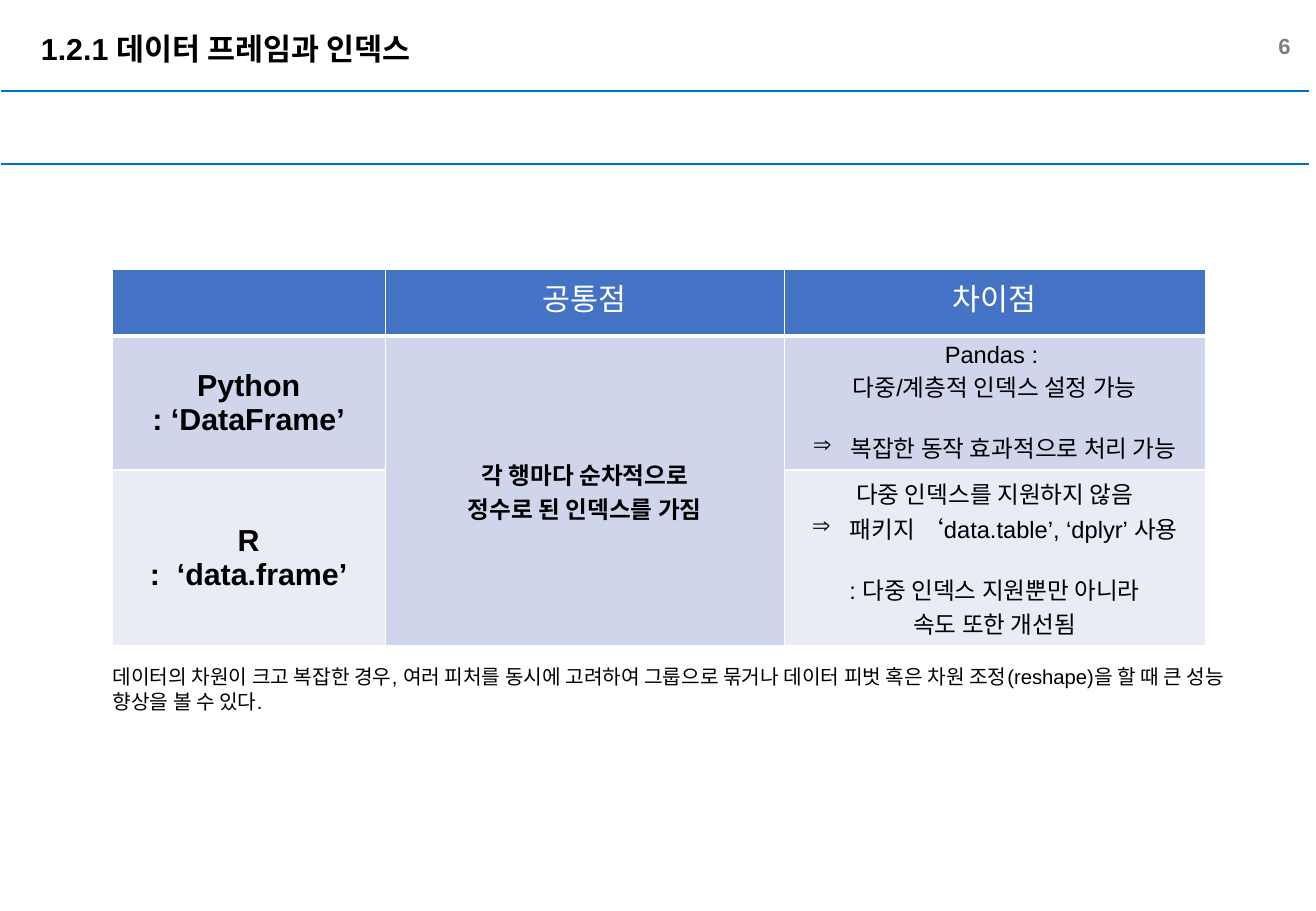
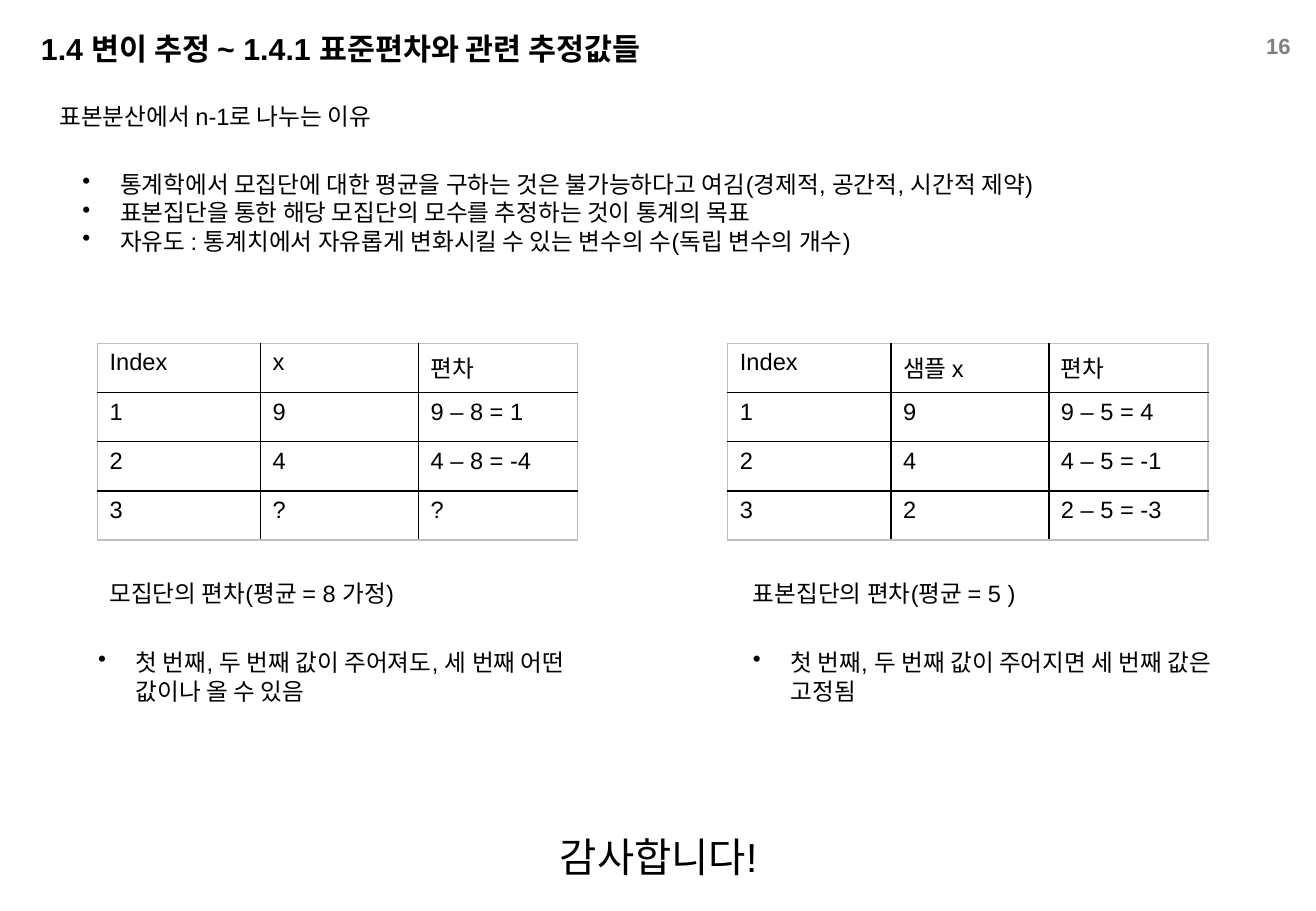
import lxml.etree
import pptx
import pptx.dml.color
import pptx.enum.shapes
import pptx.enum.text
import pptx.oxml
import pptx.oxml.ns
import pptx.util

COLORS = {"ink": "000000", "white": "FFFFFF", "number": "7F7F7F", "rule": "0070C0",
          "header": "4472C4", "band": "CFD5EA", "pale": "E9EBF5", "frame": "BFBFBF"}
FONT = "Arial"
ALIGN = pptx.enum.text.PP_ALIGN
MIDDLE = pptx.enum.text.MSO_ANCHOR.MIDDLE
TOP = pptx.enum.text.MSO_ANCHOR.TOP

deck = pptx.Presentation()
deck.slide_width = pptx.util.Inches(10.83)
deck.slide_height = pptx.util.Inches(7.5)
column = deck.slide_width / 100
row = deck.slide_height / 100


def write(frame, lines, size, bold=False, color="ink", align=ALIGN.LEFT, gap_at=None):
    for index, line in enumerate(lines):
        para = frame.paragraphs[0] if index == 0 else frame.add_paragraph()
        bulleted = line[:2] in ("• ", "⇒ ")
        para.text = line[2:] if bulleted else line
        para.alignment = align
        para.font.name = FONT
        para.font.size = pptx.util.Pt(size)
        para.font.bold = bold
        para.font.color.rgb = pptx.dml.color.RGBColor.from_string(COLORS[color])
        if index == gap_at:
            para.space_before = pptx.util.Pt(16)
        if bulleted:
            props = para._p.get_or_add_pPr()
            props.set("marL", str(pptx.util.Inches(0.31)))
            props.set("indent", str(-pptx.util.Inches(0.31)))
            bullet = pptx.oxml.parse_xml(
                f'<a:buChar {pptx.oxml.ns.nsdecls("a")} char="{line[0]}"/>')
            props.insert_element_before(bullet, "a:tabLst", "a:defRPr", "a:extLst")


def paint(cell, borders, fill=None):
    props = cell._tc.get_or_add_tcPr()
    for side, (color, points) in zip("LRTB", borders):
        props.append(pptx.oxml.parse_xml(
            f'<a:ln{side} {pptx.oxml.ns.nsdecls("a")} w="{pptx.util.Pt(points)}">'
            f'<a:solidFill><a:srgbClr val="{COLORS[color]}"/></a:solidFill></a:ln{side}>'))
    if fill:
        cell.fill.solid()
        cell.fill.fore_color.rgb = pptx.dml.color.RGBColor.from_string(COLORS[fill])
    else:
        cell.fill.background()


pages = [deck.slides.add_slide(deck.slide_layouts[6]) for _ in range(2)]
frame_page, variance_page = pages

title = {"size": 18, "bold": True}
number = {"size": 13, "bold": True, "color": "number", "align": ALIGN.RIGHT}
body = {"size": 14}
texts = [
    (frame_page, (2.2, 2.7, 41.6, 5.3), ["1.2.1 데이터 프레임과 인덱스"], title),
    (frame_page, (93.4, 2.9, 5.4, 4.3), ["6"], number),
    (frame_page, (7.66, 72.3, 89.6, 6.7),
     ["데이터의 차원이 크고 복잡한 경우, 여러 피처를 동시에 고려하여 그룹으로 묶거나 "
      "데이터 피벗 혹은 차원 조정(reshape)을 할 때 큰 성능 향상을 볼 수 있다."], {"size": 12}),
    (variance_page, (2.2, 2.7, 53, 5.3), ["1.4 변이 추정 ~ 1.4.1 표준편차와 관련 추정값들"], title),
    (variance_page, (93.4, 2.9, 5.4, 4.3), ["16"], number),
    (variance_page, (3.6, 10.5, 43.4, 4.5), ["표본분산에서 n-1로 나누는 이유"], body),
    (variance_page, (5.35, 18, 87.3, 17),
     ["• 통계학에서 모집단에 대한 평균을 구하는 것은 불가능하다고 여김(경제적, 공간적, 시간적 제약)",
      "• 표본집단을 통한 해당 모집단의 모수를 추정하는 것이 통계의 목표",
      "• 자유도 : 통계치에서 자유롭게 변화시킬 수 있는 변수의 수(독립 변수의 개수)"], body),
    (variance_page, (7.4, 62.9, 28.6, 4.5), ["모집단의 편차(평균 = 8 가정)"], body),
    (variance_page, (56.3, 62.9, 28.6, 4.5), ["표본집단의 편차(평균 = 5 )"], body),
    (variance_page, (6.55, 70.5, 41.2, 7.6),
     ["• 첫 번째, 두 번째 값이 주어져도, 세 번째 어떤 값이나 올 수 있음"], body),
    (variance_page, (56.3, 70.5, 41.2, 7.6),
     ["• 첫 번째, 두 번째 값이 주어지면 세 번째 값은 고정됨"], body),
    (variance_page, (22.8, 90.7, 54.5, 9), ["감사합니다!"], {"size": 24, "align": ALIGN.CENTER}),
]
for page, (left, top, width, height), lines, style in texts:
    box = page.shapes.add_textbox(int(left * column), int(top * row),
                                  int(width * column), int(height * row))
    box.text_frame.word_wrap = True
    if style is number:
        box.text_frame.vertical_anchor = MIDDLE
        box.text_frame.margin_left = box.text_frame.margin_right = pptx.util.Inches(0.08)
        box.text_frame.margin_top = box.text_frame.margin_bottom = pptx.util.Inches(0.04)
    write(box.text_frame, lines, **style)

for height in (10, 18):
    rule = frame_page.shapes.add_connector(
        pptx.enum.shapes.MSO_CONNECTOR.STRAIGHT,
        int(99.5 * column), int(height * row), int(0.1 * column), int(height * row))
    rule.line.color.rgb = pptx.dml.color.RGBColor.from_string(COLORS["rule"])
    rule.line.width = pptx.util.Pt(0.75)
    lxml.etree.SubElement(rule._element.spPr, pptx.oxml.ns.qn("a:effectLst"))

widths = (20.8, 30.3, 32)
heights = (7.3, 14.7, 19.3)
comparison = frame_page.shapes.add_table(
    3, 3, int(8.5 * column), int(29.6 * row),
    int(sum(widths) * column), int(sum(heights) * row)).table
for index in range(3):
    comparison.columns[index].width = int(widths[index] * column)
    comparison.rows[index].height = int(heights[index] * row)
    for place in range(3):
        lower = 3 if index == 0 else 1
        upper = 3 if index == 1 else 1
        paint(comparison.cell(index, place),
              [("white", 1), ("white", 1), ("white", upper), ("white", lower)],
              ("header", "band", "pale")[index])
comparison.cell(1, 1).merge(comparison.cell(2, 1))

heading = {"size": 18, "color": "white"}
entries = [
    (0, 1, ["공통점"], TOP, heading),
    (0, 2, ["차이점"], TOP, heading),
    (1, 0, ["Python", ": ‘DataFrame’"], MIDDLE, title),
    (1, 1, ["각 행마다 순차적으로", "정수로 된 인덱스를 가짐"], MIDDLE, {"size": 14, "bold": True}),
    (1, 2, ["Pandas : ", "다중/계층적 인덱스 설정 가능", "⇒ 복잡한 동작 효과적으로 처리 가능"],
     TOP, {"size": 14, "gap_at": 2}),
    (2, 0, ["R", ":  ‘data.frame’"], MIDDLE, title),
    (2, 2, ["다중 인덱스를 지원하지 않음", "⇒ 패키지 ‘data.table’, ‘dplyr’ 사용",
            ": 다중 인덱스 지원뿐만 아니라", "속도 또한 개선됨"], MIDDLE, {"size": 14, "gap_at": 2}),
]
for index, place, lines, anchor, style in entries:
    cell = comparison.cell(index, place)
    cell.vertical_anchor = anchor
    write(cell.text_frame, lines, align=ALIGN.CENTER, **style)

deviations = [
    (7.4, [("Index", "x", "편차"), ("1", "9", "9 – 8 = 1"),
           ("2", "4", "4 – 8 = -4"), ("3", "?", "?")]),
    (55.3, [("Index", "샘플 x", "편차"), ("1", "9", "9 – 5 = 4"),
            ("2", "4", "4 – 5 = -1"), ("3", "2", "2 – 5 = -3")]),
]
widths = (12.4, 12, 12.1)
for left, records in deviations:
    grid = variance_page.shapes.add_table(
        4, 3, int(left * column), int(37.7 * row),
        int(sum(widths) * column), int(4 * 5.4 * row)).table
    for place, width in enumerate(widths):
        grid.columns[place].width = int(width * column)
    for index, record in enumerate(records):
        grid.rows[index].height = int(5.4 * row)
        for place, value in enumerate(record):
            cell = grid.cell(index, place)
            outer = (place == 0, place == 2, index == 0, index == 3)
            paint(cell, [("frame" if edge else "ink", 1) for edge in outer])
            write(cell.text_frame, [value], 14)

deck.save("out.pptx")
